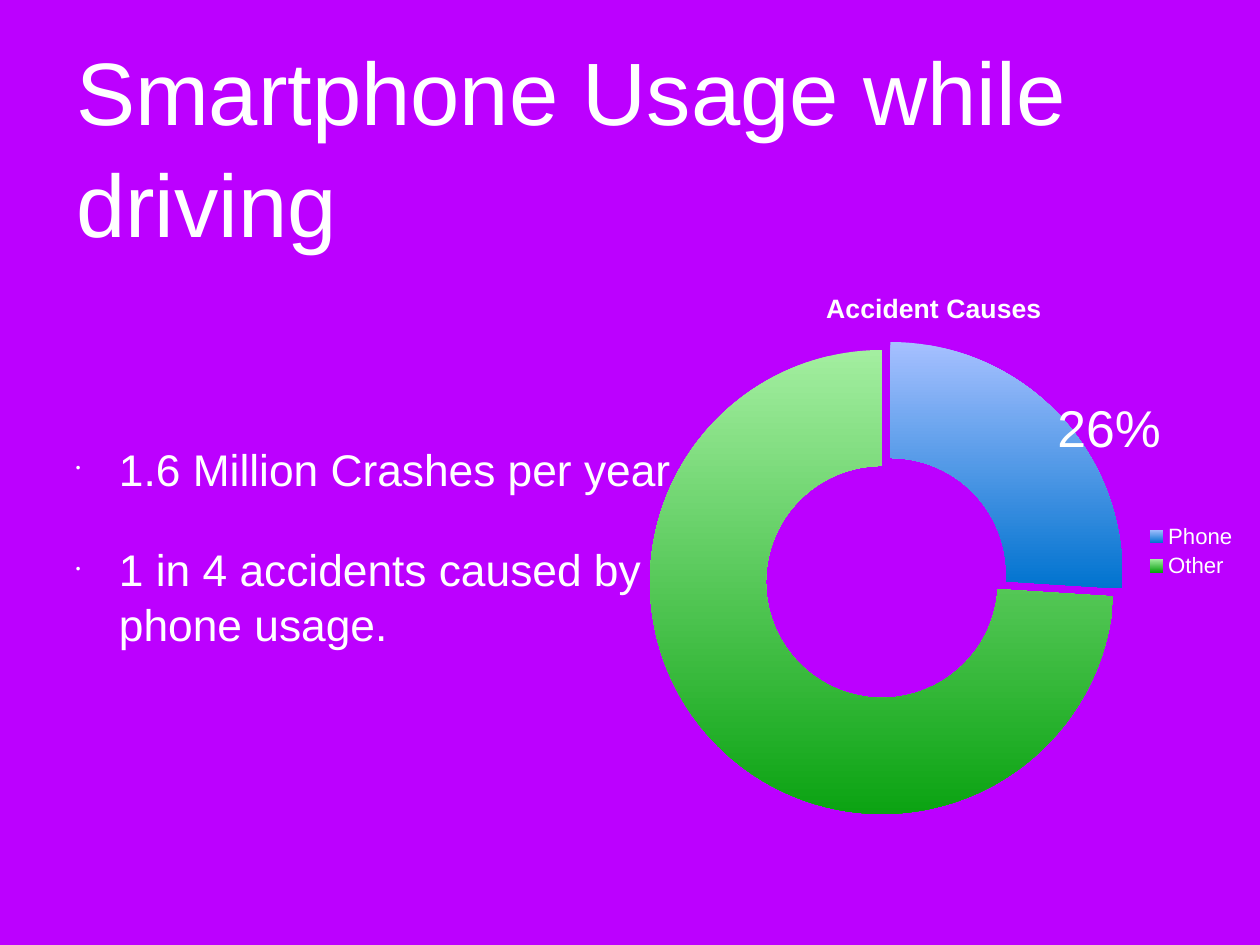
from lxml.etree import SubElement
from pptx import Presentation
from pptx.chart.data import CategoryChartData
from pptx.dml.color import RGBColor
from pptx.enum.chart import XL_CHART_TYPE, XL_LEGEND_POSITION
from pptx.enum.text import MSO_ANCHOR, PP_ALIGN
from pptx.oxml import parse_xml
from pptx.oxml.ns import nsdecls, qn
from pptx.util import Pt

PX = 10321
FONT = "Arial"
COLORS = {
    "background": "BC00FF",
    "text": "FFFFFF",
    "Phone": ("A6C0FF", "0073CF"),
    "Other": ("A3EEA0", "0BA312"),
}


def style_font(font, size, bold=False):
    font.name, font.size, font.bold = FONT, Pt(size), bold
    font.color.rgb = RGBColor.from_string(COLORS["text"])


def setup_text(sp, box, inset=0):
    """Place a text shape, set its frame and return the frame."""
    sp.left, sp.top, sp.width, sp.height = [v * PX for v in box]
    tf = sp.text_frame
    tf.word_wrap = True
    tf.vertical_anchor = MSO_ANCHOR.MIDDLE
    tf.margin_left = tf.margin_right = tf.margin_top = tf.margin_bottom = inset * PX
    return tf


prs = Presentation()
prs.slide_width, prs.slide_height = 1260 * PX, 945 * PX
s = prs.slides.add_slide(prs.slide_layouts[5])
s.background.fill.solid()
s.background.fill.fore_color.rgb = RGBColor.from_string(COLORS["background"])

# Title
tf = setup_text(s.shapes.title, (76, 25, 1108, 237))
p = tf.paragraphs[0]
p.alignment = PP_ALIGN.LEFT
p.line_spacing = 1.05
r = p.add_run()
r.text = "Smartphone Usage while driving"
style_font(r.font, 72)

# Bullets
tf = setup_text(s.shapes.add_textbox(0, 0, 0, 0), (76, 268, 613, 554))
facts = ["1.6 Million Crashes per year", "1 in 4 accidents caused by phone usage."]
for i, fact in enumerate(facts):
    p = tf.add_paragraph() if i else tf.paragraphs[0]
    p.alignment = PP_ALIGN.LEFT
    p.line_spacing = 1.05
    p.space_before = Pt(36)
    pPr = p._p.get_or_add_pPr()
    pPr.set("marL", str(43 * PX))
    pPr.set("indent", str(-43 * PX))
    SubElement(pPr, qn("a:buSzPct"), val="30000")
    SubElement(pPr, qn("a:buFont"), typeface=FONT)
    SubElement(pPr, qn("a:buChar"), char="•")
    r = p.add_run()
    r.text = fact
    style_font(r.font, 36)

# Doughnut chart
left, top, width, height = 621, 271, 626, 560
shares = {"Phone": 26, "Other": 74}
data = CategoryChartData()
data.categories = list(shares)
data.add_series("Accident Causes", list(shares.values()))
chart = s.shapes.add_chart(
    XL_CHART_TYPE.DOUGHNUT, left * PX, top * PX, width * PX, height * PX, data
).chart
style_font(chart.font, 18)
chart.has_title = True
r = chart.chart_title.text_frame.paragraphs[0].add_run()
r.text = "Accident Causes"
style_font(r.font, 21.6, bold=True)
chart.has_legend = True
chart.legend.position = XL_LEGEND_POSITION.RIGHT
chart.legend.include_in_layout = False
style_font(chart.legend.font, 18)

plot = chart.plots[0]
plot.vary_by_categories = True
series = plot.series[0]
for i, name in enumerate(shares):
    fmt = series.points[i].format
    fmt.line.fill.background()
    fmt.fill.gradient()
    fmt.fill.gradient_angle = 270
    for stop, color in zip(fmt.fill.gradient_stops, COLORS[name]):
        stop.color.rgb = RGBColor.from_string(color)

phone = series._element.find(qn("c:dPt"))
phone.find(qn("c:spPr")).addprevious(
    parse_xml(f'<c:explosion {nsdecls("c")} val="10"/>')
)

# Plot area square: 464 px, placed at (650, 350) on the slide
plot_area = chart._chartSpace.find(qn("c:chart")).find(qn("c:plotArea"))
for old in plot_area.findall(qn("c:layout")):
    plot_area.remove(old)
layout = parse_xml(f'<c:layout {nsdecls("c")}/>')
plot_area.insert(0, layout)
manual = SubElement(layout, qn("c:manualLayout"))
for tag, val in [
    ("layoutTarget", "inner"),
    ("xMode", "edge"),
    ("yMode", "edge"),
    ("x", (650 - left) / width),
    ("y", (350 - top) / height),
    ("w", 464 / width),
    ("h", 464 / height),
]:
    SubElement(manual, qn(f"c:{tag}"), val=str(val))

# Share label
tf = setup_text(s.shapes.add_textbox(0, 0, 0, 0), (1014, 390, 190, 73), inset=5)
p = tf.paragraphs[0]
p.alignment = PP_ALIGN.CENTER
r = p.add_run()
r.text = "26%"
style_font(r.font, 42)

prs.save("out.pptx")
